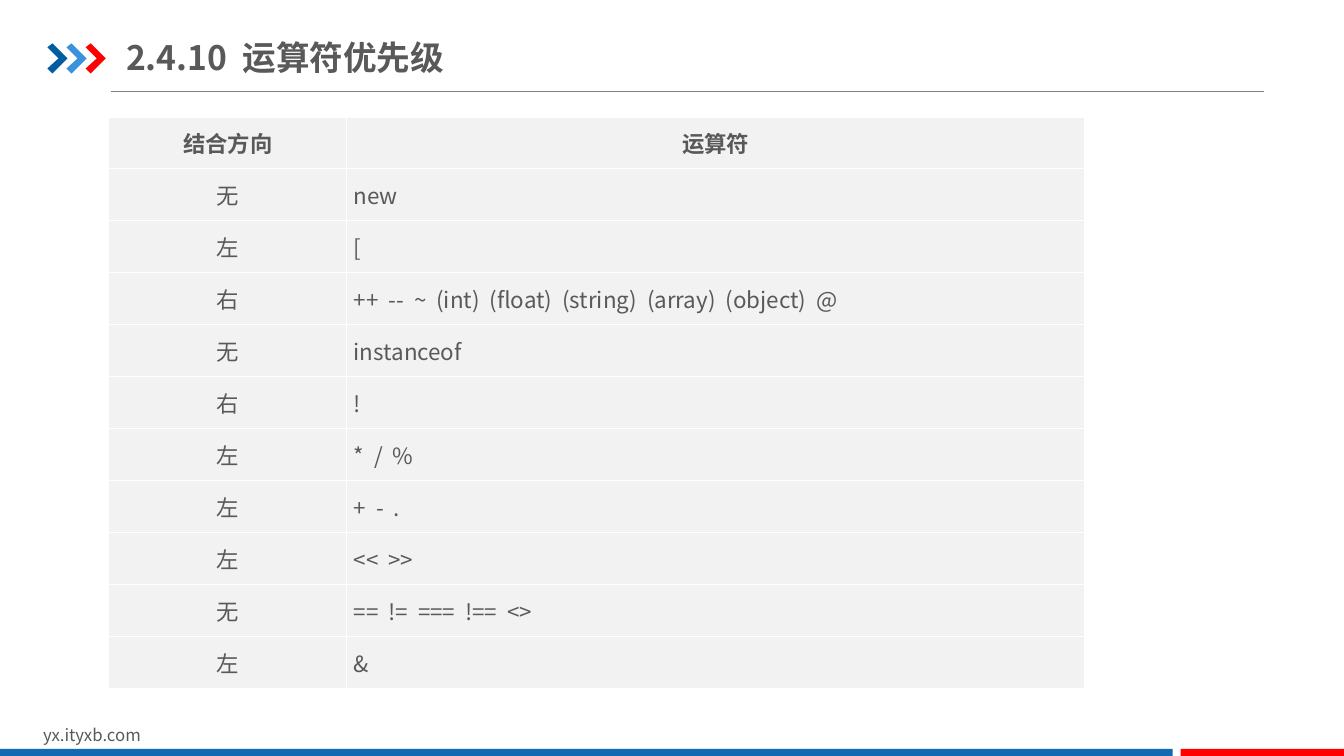
"""Build the operator precedence slide."""
from lxml import etree
from pptx import Presentation
from pptx.dml.color import RGBColor
from pptx.enum import shapes, text
from pptx.oxml import ns
from pptx.util import Pt

PX = 9144
FONT = "Noto Sans CJK SC"
WHITE = RGBColor(0xFF, 0xFF, 0xFF)
INK = RGBColor(0x59, 0x59, 0x59)
RULE_GREY = RGBColor(0x80, 0x80, 0x80)
CELL_GREY = RGBColor(0xF2, 0xF2, 0xF2)
NAVY = RGBColor(0x00, 0x5D, 0xA2)
SKY = RGBColor(0x39, 0x92, 0xDB)
BLUE = RGBColor(0x13, 0x69, 0xB2)
RED = RGBColor(0xFF, 0x00, 0x00)

CHEVRON = [(0, 4), (5, 0), (20, 15), (5, 30), (0, 25), (11, 15)]
COLUMN_WIDTHS = [236, 732]
PRECEDENCE = [
    ("结合方向", "运算符"),
    ("无", "new"),
    ("左", "["),
    ("右", "++  --  ~  (int)  (float)  (string)  (array)  (object)  @"),
    ("无", "instanceof"),
    ("右", "!"),
    ("左", "*  /  %"),
    ("左", "+  -  ."),
    ("左", "<<  >>"),
    ("无", "==  !=  ===  !==  <>"),
    ("左", "&"),
]


def px(*lengths):
    """Turn pixel lengths into EMU."""
    return [length * PX for length in lengths]


def write(paragraph, words, size, bold=False, align=text.PP_ALIGN.LEFT):
    """Add one styled run to a paragraph."""
    paragraph.alignment = align
    run = paragraph.add_run()
    run.text = words
    run.font.size = Pt(size)
    run.font.bold = bold
    run.font.color.rgb = INK
    run.font.name = FONT
    east_asian = etree.SubElement(run.font._element, ns.qn("a:ea"))
    east_asian.set("typeface", FONT)


def paint(shape, color):
    """Give a shape a flat fill with no line or shadow."""
    shape.shadow.inherit = False
    shape.fill.solid()
    shape.fill.fore_color.rgb = color
    shape.line.fill.background()


def add_chevron(slide, left, top, color):
    """Draw one arrow of the heading mark."""
    points = [(left + x, top + y) for x, y in CHEVRON]
    builder = slide.shapes.build_freeform(*points[0], scale=PX)
    builder.add_line_segments(points[1:], close=True)
    paint(builder.convert_to_shape(), color)


def add_bar(slide, left, width, color):
    """Draw one block of the bottom bar."""
    bar = slide.shapes.add_shape(
        shapes.MSO_SHAPE.RECTANGLE, *px(left, 743, width, 9))
    paint(bar, color)


def add_rule(slide, left, right, y):
    """Draw the thin line below the heading."""
    rule = slide.shapes.add_connector(
        shapes.MSO_CONNECTOR.STRAIGHT, *px(left, y, right, y))
    rule.line.color.rgb = RULE_GREY
    rule.line.width = Pt(0.75)
    etree.SubElement(rule._element.spPr, ns.qn("a:effectLst"))


def add_heading(slide, words):
    """Place and fill the title placeholder."""
    heading = slide.shapes.title
    heading.left, heading.top, heading.width, heading.height = px(125, 29, 426, 55)
    frame = heading.text_frame
    frame.auto_size = text.MSO_AUTO_SIZE.NONE
    frame.word_wrap = True
    frame.vertical_anchor = text.MSO_ANCHOR.MIDDLE
    frame.margin_left = frame.margin_right = 0
    frame.margin_top = frame.margin_bottom = 7 * PX
    write(frame.paragraphs[0], words, 24, bold=True)


def add_site(slide, address):
    """Write the site address at the bottom left."""
    site = slide.shapes.add_textbox(*px(33, 714, 318, 30))
    site.text_frame.word_wrap = True
    write(site.text_frame.paragraphs[0], address, 12)


def add_borders(cell):
    """Draw white borders on all four sides of a cell."""
    properties = cell._tc.get_or_add_tcPr()
    for index, side in enumerate(("lnL", "lnR", "lnT", "lnB")):
        border = etree.Element(ns.qn(f"a:{side}"), w=str(Pt(1)))
        fill = etree.SubElement(border, ns.qn("a:solidFill"))
        etree.SubElement(fill, ns.qn("a:srgbClr"), val=str(WHITE))
        properties.insert(index, border)


def fill_cell(cell, words, bold, align):
    """Format one table cell and write its words."""
    cell.fill.solid()
    cell.fill.fore_color.rgb = CELL_GREY
    cell.vertical_anchor = text.MSO_ANCHOR.MIDDLE
    cell.margin_left = cell.margin_right = 7 * PX
    cell.margin_top = cell.margin_bottom = 0
    write(cell.text_frame.paragraphs[0], words, 16, bold, align)
    add_borders(cell)


def add_precedence(slide):
    """Build the table of operators."""
    table = slide.shapes.add_table(
        len(PRECEDENCE), len(COLUMN_WIDTHS),
        *px(108, 116, sum(COLUMN_WIDTHS), 567)).table
    for column, width in zip(table.columns, COLUMN_WIDTHS):
        column.width = width * PX
    for row, entries in enumerate(PRECEDENCE):
        for column, words in enumerate(entries):
            centred = row == 0 or column == 0
            align = text.PP_ALIGN.CENTER if centred else text.PP_ALIGN.JUSTIFY
            fill_cell(table.cell(row, column), words, row == 0, align)


def main():
    """Assemble and save the slide."""
    deck = Presentation()
    deck.slide_width, deck.slide_height = px(1333, 750)
    slide = deck.slides.add_slide(deck.slide_layouts[5])
    add_rule(slide, 110, 1254, 91)
    for index, color in enumerate((NAVY, SKY, RED)):
        add_chevron(slide, 47 + 19 * index, 43, color)
    add_site(slide, "yx.ityxb.com")
    add_bar(slide, 0, 1163, BLUE)
    add_bar(slide, 1171, 163, RED)
    add_heading(slide, "2.4.10  运算符优先级")
    add_precedence(slide)
    deck.save("out.pptx")


if __name__ == "__main__":
    main()
